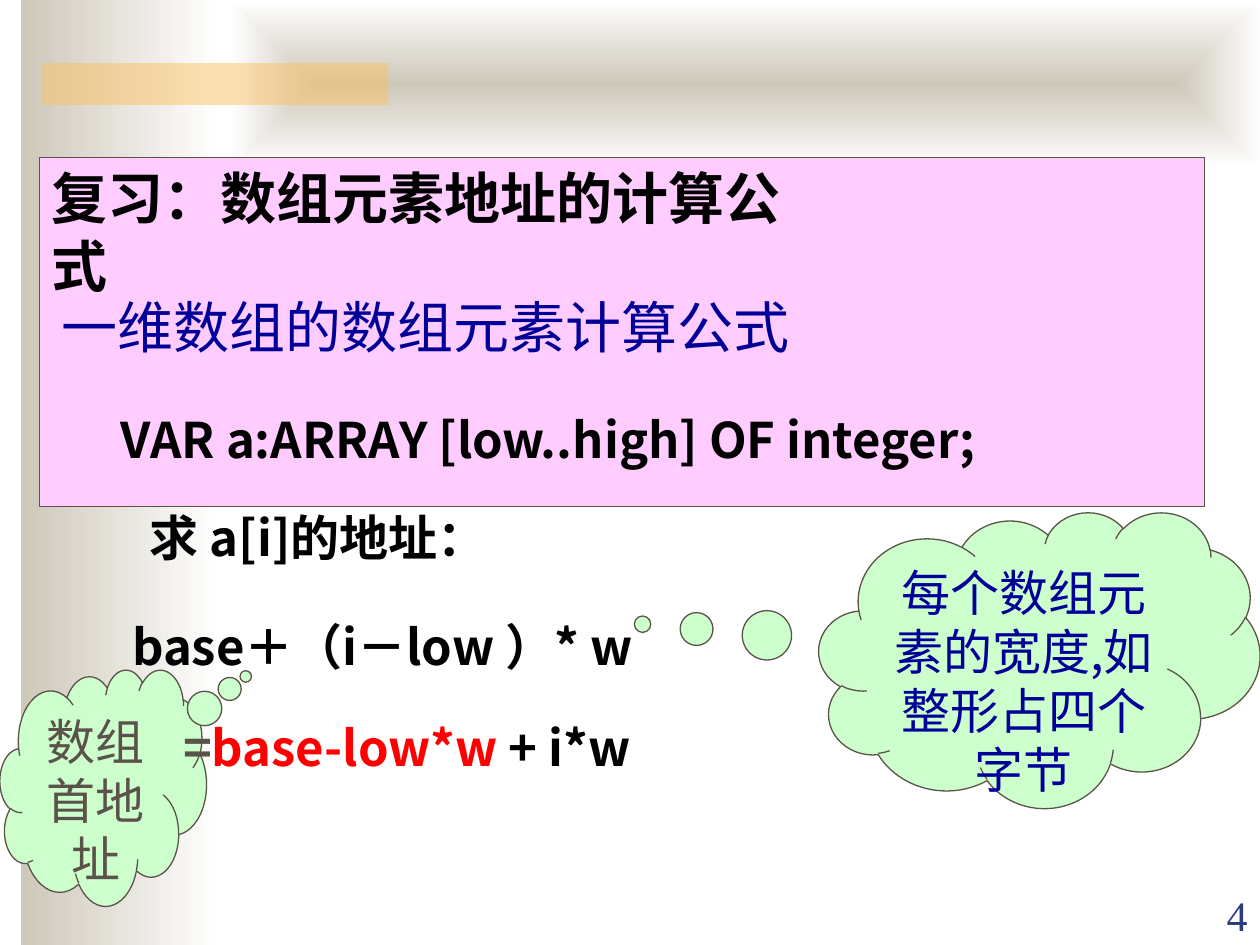
from pptx import Presentation
from pptx.dml.color import RGBColor
from pptx.enum.shapes import MSO_SHAPE
from pptx.enum.text import MSO_ANCHOR, MSO_AUTO_SIZE, PP_ALIGN
from pptx.oxml.ns import qn
from pptx.util import Pt
from lxml import etree

SAND = RGBColor(0xCE, 0xC8, 0xBA)
WHITE = RGBColor(0xFF, 0xFF, 0xFF)
AMBER = RGBColor(0xFA, 0xC1, 0x64)
PINK = RGBColor(0xFF, 0xCC, 0xFF)
MINT = RGBColor(0xCC, 0xFF, 0xCC)
BROWN = RGBColor(0x5B, 0x52, 0x49)
NAVY = RGBColor(0x00, 0x00, 0x99)
SLATE = RGBColor(0x2A, 0x3D, 0x7A)
RED = RGBColor(0xFF, 0x00, 0x00)
BLACK = RGBColor(0x00, 0x00, 0x00)
SANS = "Noto Sans CJK JP"
SERIF = "Times New Roman"


def write(frame, text, size=28, color=BLACK, bold=False, font=SANS,
          align=PP_ALIGN.LEFT, anchor=MSO_ANCHOR.TOP, wrap=True):
    """Fill a frame with a string or a list of (string, colour) runs."""
    frame.word_wrap = wrap
    frame.auto_size = MSO_AUTO_SIZE.NONE
    frame.vertical_anchor = anchor
    para = frame.paragraphs[0]
    para.alignment = align
    runs = [(text, color)] if isinstance(text, str) else text
    for part, tint in runs:
        run = para.add_run()
        run.text = part
        run.font.size = Pt(size)
        run.font.bold = bold
        run.font.name = font
        run.font.color.rgb = tint
        east = etree.Element(qn("a:ea"), typeface=font)
        run.font._element.find(qn("a:latin")).addnext(east)


def place(shape, box):
    shape.left, shape.top, shape.width, shape.height = map(Pt, box)


def paint(shape, fill, line=None):
    shape.fill.solid()
    shape.fill.fore_color.rgb = fill
    if line is None:
        shape.line.fill.background()
    else:
        shape.line.color.rgb = line
        shape.line.width = Pt(0.75)


def add(slide, kind, box):
    shape = slide.shapes.add_shape(kind, *map(Pt, box))
    shape.shadow.inherit = False
    return shape


def fade(slide, box, center=False):
    """Sand to white, from the left edge or from the center."""
    shape = add(slide, MSO_SHAPE.RECTANGLE, box)
    shape.line.fill.background()
    shape.fill.gradient()
    shape.fill.gradient_angle = 0
    for stop, color, spot in zip(shape.fill.gradient_stops, (SAND, WHITE), (0, 1)):
        stop.color.rgb = color
        stop.position = spot
    if center:
        lin = shape._element.spPr.find(qn("a:gradFill")).find(qn("a:lin"))
        route = etree.Element(qn("a:path"), {"path": "rect"})
        etree.SubElement(route, qn("a:fillToRect"),
                         {side: "50000" for side in "ltrb"})
        lin.getparent().replace(lin, route)


def backdrop(slide, box):
    left, top, wide, high = box
    fade(slide, (left + 12, top, 114, high))
    fade(slide, (left + 132, top, wide - 132, 96), center=True)
    # Half-clear amber bar
    bar = add(slide, MSO_SHAPE.RECTANGLE, (left + 24, top + 36, 198, 24))
    paint(bar, AMBER)
    tint = bar._element.spPr.find(qn("a:solidFill"))[0]
    etree.SubElement(tint, qn("a:alpha"), val="50000")


def heading(slide, box):
    title = slide.shapes.title
    place(title, box)
    paint(title, PINK, BROWN)
    frame = title.text_frame
    write(frame, "复习：数组元素地址的计算公式", size=32, bold=True)
    frame.margin_right = Pt(box[2] - 440)
    # Bring the panel in front of the backdrop
    slide.shapes._spTree.append(title._element)


def cloud(slide, box, tail, text, color):
    shape = add(slide, MSO_SHAPE.CLOUD_CALLOUT, box)
    shape.adjustments[0], shape.adjustments[1] = tail
    paint(shape, MINT, BROWN)
    write(shape.text_frame, text, color=color, align=PP_ALIGN.CENTER)


def label(slide, box, text, **form):
    frame = slide.shapes.add_textbox(*map(Pt, box)).text_frame
    write(frame, text, **form)


def formula(slide, box):
    left, top, wide, high = box
    label(slide, (left, top, wide, 46), "一维数组的数组元素计算公式",
          size=32, color=NAVY)
    label(slide, (left + 34, top + 67, 612, 41),
          "VAR a:ARRAY [low..high] OF integer;", bold=True)
    label(slide, (left + 50.5, top + 123, 360, 41), "求 a[i]的地址：", bold=True)
    label(slide, (left + 40.5, top + 185, 341, 41),
          "base＋（i－low ）* w", bold=True, wrap=False)
    label(slide, (left + 69.5, top + high - 41, 279, 41),
          [("=", BROWN), ("base-low*w ", RED), ("+ i*w", BLACK)],
          bold=True, wrap=False)


def main():
    deck = Presentation()
    deck.slide_width, deck.slide_height = Pt(720), Pt(540)
    slide = deck.slides.add_slide(deck.slide_layouts[5])
    backdrop(slide, (0, 0, 720, 540))
    label(slide, (648, 504.5, 72, 36), "4", size=24, color=SLATE, font=SERIF,
          align=PP_ALIGN.RIGHT, anchor=MSO_ANCHOR.BOTTOM)
    heading(slide, (22.5, 90, 666, 199.5))
    # Notes on the two terms of the formula
    cloud(slide, (468, 292.5, 252, 169), (-0.9, -0.12),
          "每个数组元素的宽度,如整形占四个字节", NAVY)
    cloud(slide, (0, 382.5, 118, 135), (0.69, -0.47), "数组首地址", BROWN)
    formula(slide, (28, 163.5, 660, 284))
    deck.save("out.pptx")


if __name__ == "__main__":
    main()
